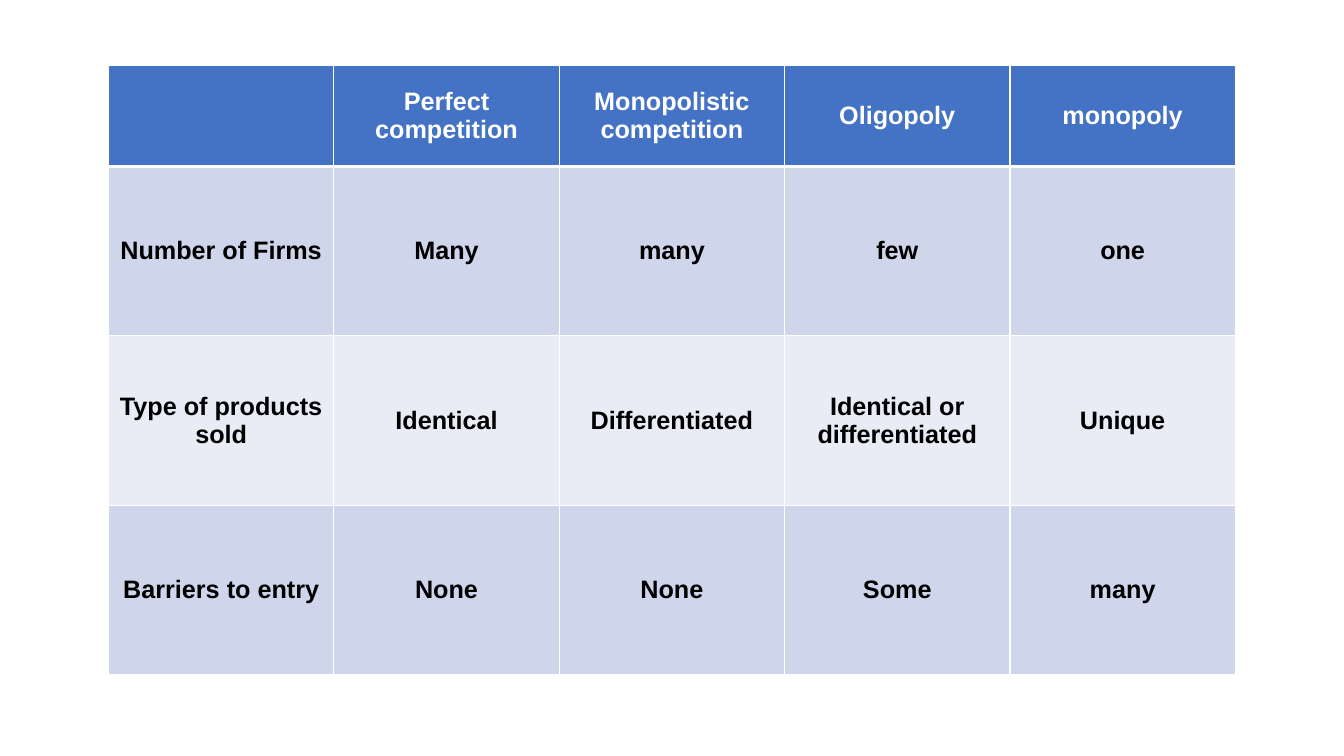
from lxml.etree import SubElement
from pptx import Presentation
from pptx.dml.color import RGBColor
from pptx.enum.text import MSO_ANCHOR as Anchor, PP_ALIGN as Align
from pptx.oxml.ns import qn
from pptx.util import Pt

WHITE = RGBColor(0xFF, 0xFF, 0xFF)
BLACK = RGBColor(0, 0, 0)
HEADER_BLUE = RGBColor(0x44, 0x72, 0xC4)
BAND_DARK = RGBColor(0xCF, 0xD5, 0xEA)
BAND_LIGHT = RGBColor(0xE9, 0xEB, 0xF5)

MARKET_STRUCTURES = [
    ["", "Perfect competition", "Monopolistic competition", "Oligopoly", "monopoly"],
    ["Number of Firms", "Many", "many", "few", "one"],
    ["Type of products sold", "Identical", "Differentiated",
     "Identical or differentiated", "Unique"],
    ["Barriers to entry", "None", "None", "Some", "many"],
]


class SlideBuilder:
    """Holds the style and the current slide."""

    font_name = "Arial"
    font_size = 18
    thin, thick = 1, 3

    def __init__(self, slide):
        self.slide = slide

    def table(self, rows, left, top, column_width, row_heights):
        frame = self.slide.shapes.add_table(
            len(rows), len(rows[0]), Pt(left), Pt(top),
            Pt(column_width * len(rows[0])), Pt(sum(row_heights)))
        grid = frame.table
        for column in grid.columns:
            column.width = Pt(column_width)
        for r, (texts, height) in enumerate(zip(rows, row_heights)):
            grid.rows[r].height = Pt(height)
            for c, text in enumerate(texts):
                self.cell(grid.cell(r, c), text, r)

    def cell(self, cell, text, row):
        # Borders: the rule under the header is thicker
        top = self.thick if row == 1 else self.thin
        bottom = self.thick if row == 0 else self.thin
        self.borders(cell, lnL=self.thin, lnR=self.thin, lnT=top, lnB=bottom)

        # Fill: header, then alternating bands
        cell.fill.solid()
        if row == 0:
            cell.fill.fore_color.rgb = HEADER_BLUE
        else:
            cell.fill.fore_color.rgb = BAND_DARK if row % 2 else BAND_LIGHT

        # Text
        cell.text = text
        cell.vertical_anchor = Anchor.MIDDLE
        paragraph = cell.text_frame.paragraphs[0]
        paragraph.alignment = Align.CENTER
        font = paragraph.font
        font.name = self.font_name
        font.size = Pt(self.font_size)
        font.bold = True
        font.color.rgb = BLACK if row else WHITE

    def borders(self, cell, **widths):
        properties = cell._tc.get_or_add_tcPr()
        for side, width in widths.items():
            line = SubElement(properties, qn(f"a:{side}"), w=str(Pt(width)))
            fill = SubElement(line, qn("a:solidFill"))
            SubElement(fill, qn("a:srgbClr"), val=str(WHITE))


def main():
    presentation = Presentation()
    presentation.slide_width = Pt(960)
    presentation.slide_height = Pt(540)
    blank_layout = presentation.slide_layouts[6]
    builder = SlideBuilder(presentation.slides.add_slide(blank_layout))

    # Comparison of market structures
    builder.table(MARKET_STRUCTURES, left=77.5, top=46.4, column_width=161,
                  row_heights=[72.5, 121, 121, 121])

    presentation.save("out.pptx")


if __name__ == "__main__":
    main()
